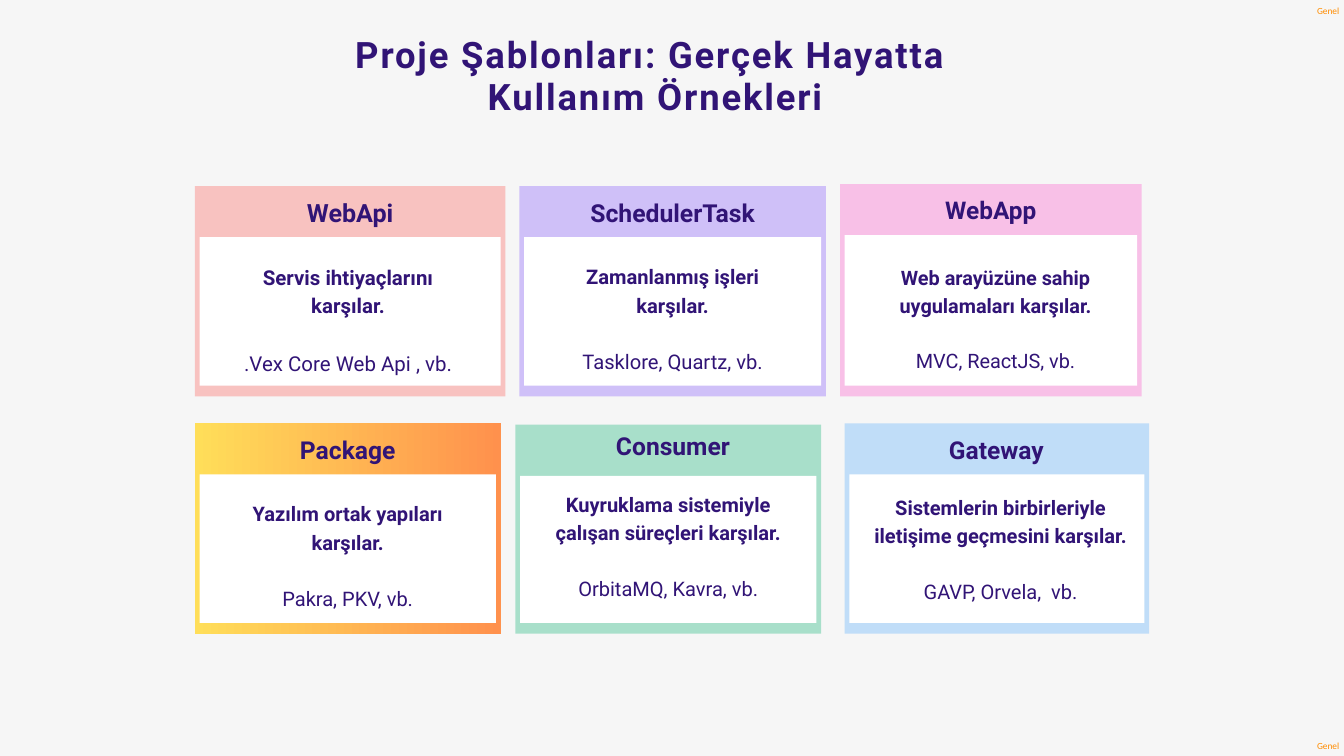
"""Build a slide of six project template cards with their real-life uses."""
from pptx import Presentation
from pptx.dml.color import RGBColor
from pptx.enum.shapes import MSO_SHAPE
from pptx.enum.text import PP_ALIGN
from pptx.util import Inches, Pt

COLORS = {
    "background": "F6F6F6", "ink": "311476", "panel": "FFFFFF", "label": "FF8C00",
    "coral": "F8C2C0", "violet": "CFC0F8", "pink": "F8C0E7",
    "yellow": "FFDE59", "orange": "FF914D", "mint": "A8DFCA", "sky": "C0DDF8",
}
LABEL = "Genel"
TITLE = ["Proje Şablonları: Gerçek Hayatta", " Kullanım Örnekleri"]
CARDS = [
    {"name": "WebApi", "use": "Servis ihtiyaçlarını karşılar.",
     "examples": ".Vex Core Web Api , vb.", "fill": ["coral"],
     "box": (2.9, 2.77, 4.62, 3.13), "name_at": (3.12, 2.98), "name_size": 26.9,
     "body_at": (3.42, 3.88), "body_width": 3.52, "body_size": 21.9},
    {"name": "SchedulerTask", "use": "Zamanlanmış işleri karşılar.",
     "examples": "Tasklore, Quartz, vb.", "fill": ["violet"],
     "box": (7.73, 2.77, 4.56, 3.13), "name_at": (7.95, 2.99), "name_size": 26.5,
     "body_at": (8.28, 3.88), "body_width": 3.46, "body_size": 21.6},
    {"name": "WebApp", "use": "Web arayüzüne sahip uygulamaları karşılar.",
     "examples": "MVC, ReactJS, vb.", "fill": ["pink"],
     "box": (12.5, 2.74, 4.49, 3.16), "name_at": (12.72, 2.95), "name_size": 26.1,
     "body_at": (13.11, 3.89), "body_width": 3.41, "body_size": 21.3},
    {"name": "Package", "use": "Yazılım ortak yapıları karşılar.",
     "examples": "Pakra, PKV, vb.", "fill": ["yellow", "orange"],
     "box": (2.9, 6.3, 4.55, 3.13), "name_at": (3.12, 6.51), "name_size": 26.4,
     "body_at": (3.45, 7.41), "body_width": 3.45, "body_size": 21.5},
    {"name": "Consumer", "use": "Kuyruklama sistemiyle çalışan süreçleri karşılar.",
     "examples": "OrbitaMQ, Kavra, vb.", "fill": ["mint"],
     "box": (7.67, 6.32, 4.55, 3.11), "name_at": (7.96, 6.45), "name_size": 26.4,
     "body_at": (7.96, 7.27), "body_width": 3.97, "body_size": 21.5},
    {"name": "Gateway", "use": "Sistemlerin birbirleriyle iletişime geçmesini karşılar.",
     "examples": "GAVP, Orvela,  vb.", "fill": ["sky"],
     "box": (12.57, 6.3, 4.53, 3.13), "name_at": (12.78, 6.51), "name_size": 26.3,
     "body_at": (12.9, 7.31), "body_width": 3.98, "body_size": 21.5},
]
SIDE, HEADER, FOOTER = 0.07, 0.76, 0.16
NAME_MARGIN, NAME_HEIGHT, NAME_LEADING = 0.22, 0.43, 1.08
BODY_LEADING, BODY_LINES = 1.4, 4


def rgb(name):
    return RGBColor.from_string(COLORS[name])


def add_box(slide, box, fill):
    rectangle = slide.shapes.add_shape(MSO_SHAPE.RECTANGLE, *map(Inches, box))
    rectangle.shadow.inherit = False
    rectangle.line.fill.background()
    if len(fill) == 1:
        rectangle.fill.solid()
        rectangle.fill.fore_color.rgb = rgb(fill[0])
        return
    rectangle.fill.gradient()
    rectangle.fill.gradient_angle = 0
    for stop, color, position in zip(rectangle.fill.gradient_stops, fill, (0, 1)):
        stop.color.rgb = rgb(color)
        stop.position = position


def add_text(slide, box, lines, size, leading=None, font="Roboto", color="ink",
             align=PP_ALIGN.CENTER, spacing=None, gap=0):
    frame = slide.shapes.add_textbox(*map(Inches, box)).text_frame
    frame.word_wrap = True
    frame.margin_left = frame.margin_right = frame.margin_top = frame.margin_bottom = 0
    for index, (text, bold) in enumerate(lines):
        paragraph = frame.add_paragraph() if index else frame.paragraphs[0]
        paragraph.alignment = align
        if leading:
            paragraph.line_spacing = Pt(leading)
        if index and gap:
            paragraph.space_before = Pt(gap)
        run = paragraph.add_run()
        run.text = text
        run.font.name = font
        run.font.size = Pt(size)
        run.font.bold = bold
        run.font.color.rgb = rgb(color)
        if spacing:
            run.font._element.set("spc", str(spacing * 100))


def add_card(slide, card):
    left, top, width, height = card["box"]
    add_box(slide, card["box"], card["fill"])
    add_box(slide, (left + SIDE, top + HEADER, width - 2 * SIDE, height - HEADER - FOOTER),
            ["panel"])
    name_size, body_size = card["name_size"], card["body_size"]
    add_text(slide, (*card["name_at"], width - 2 * NAME_MARGIN, NAME_HEIGHT),
             [(card["name"], True)], name_size, name_size * NAME_LEADING)
    leading = body_size * BODY_LEADING
    add_text(slide, (*card["body_at"], card["body_width"], BODY_LINES * leading / 72),
             [(card["use"], True), (card["examples"], False)],
             body_size, leading, gap=leading)


def main():
    presentation = Presentation()
    presentation.slide_width, presentation.slide_height = Inches(20), Inches(11.25)
    slide = presentation.slides.add_slide(presentation.slide_layouts[6])
    slide.background.fill.solid()
    slide.background.fill.fore_color.rgb = rgb("background")
    for top in (0.07, 11.01):
        add_text(slide, (19.6, top, 0.36, 0.17), [(LABEL, False)], 10,
                 font="Calibri", color="label", align=PP_ALIGN.LEFT)
    add_text(slide, (-0.33, 0.5, 20, 1.26), [(line, True) for line in TITLE],
             39, 44.9, spacing=2)
    for card in CARDS:
        add_card(slide, card)
    presentation.save("out.pptx")


if __name__ == "__main__":
    main()
